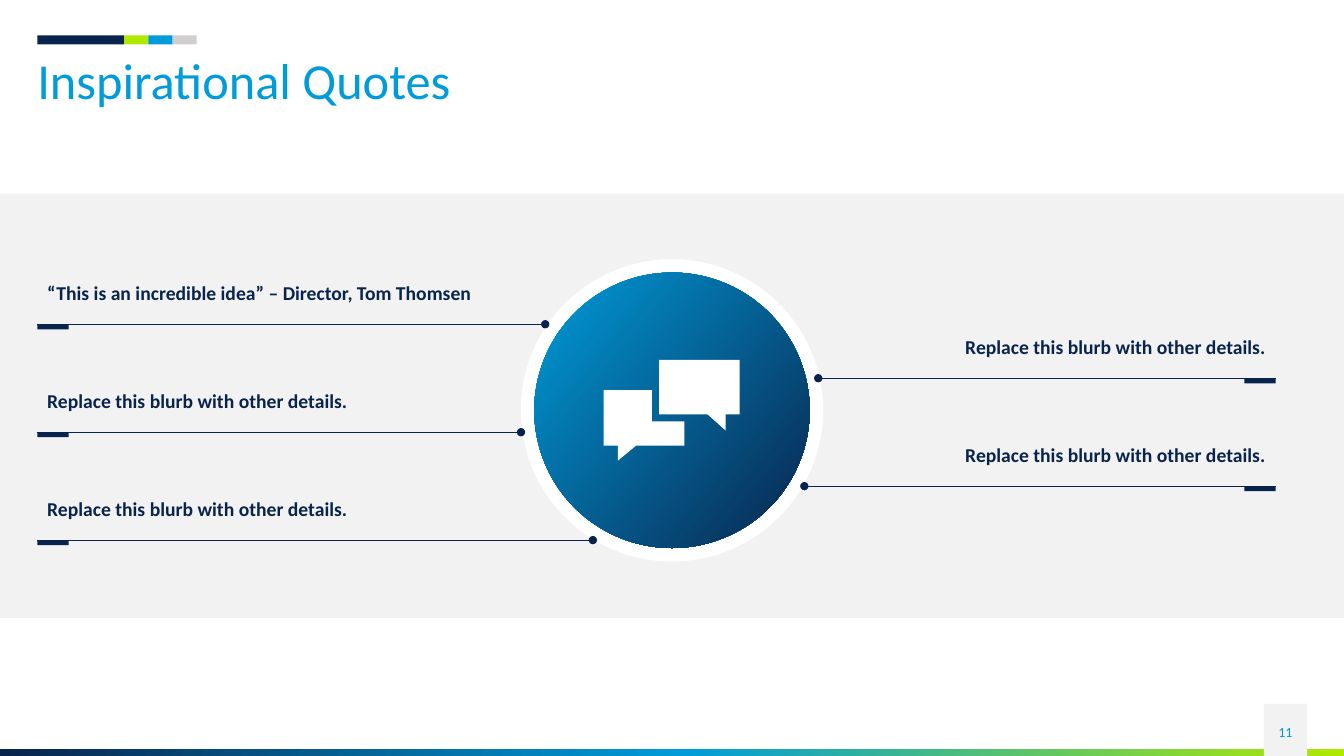
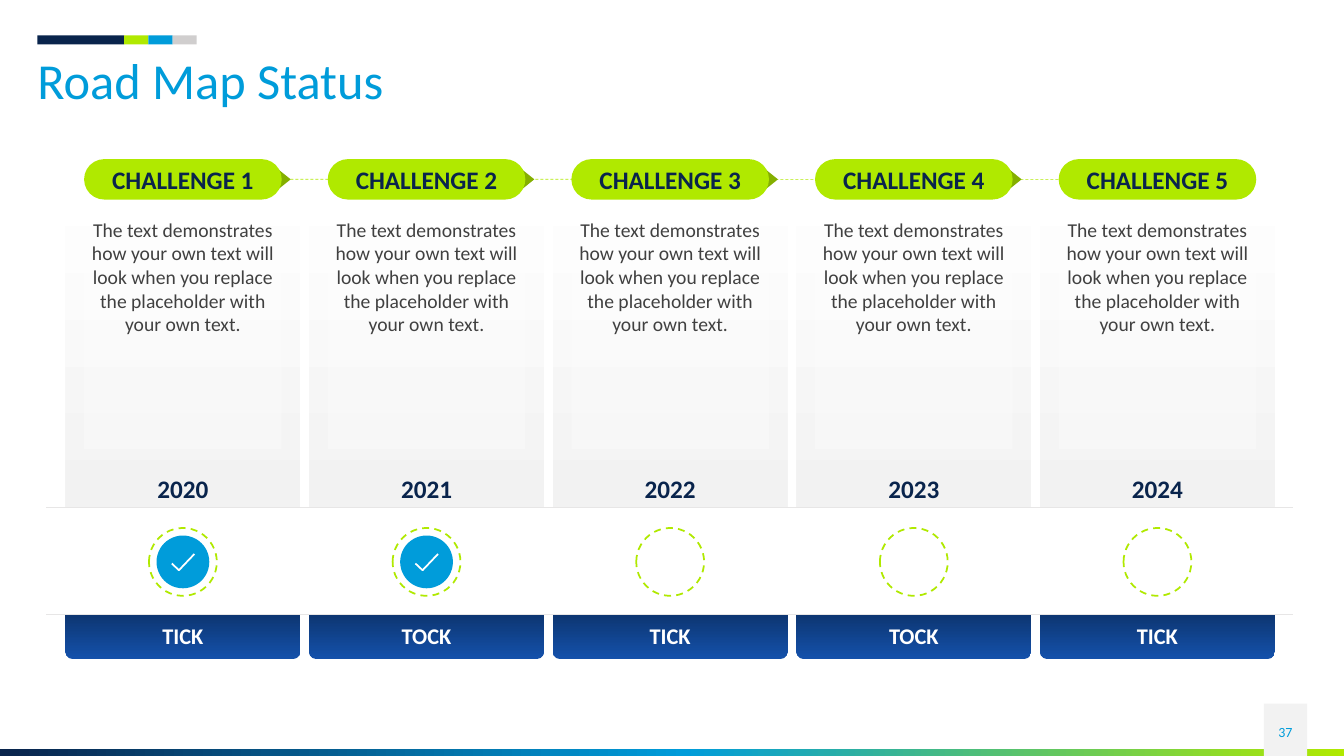
from lxml.etree import SubElement
from pptx import Presentation
from pptx.dml.color import RGBColor
from pptx.enum.dml import MSO_LINE
from pptx.enum.shapes import MSO_CONNECTOR, MSO_SHAPE
from pptx.enum.text import MSO_ANCHOR, PP_ALIGN
from pptx.oxml.ns import qn
from pptx.util import Cm, Pt

COLORS = {
    "navy": "09244C", "blue": "009CDA", "lime": "B0E900", "olive": "84AF00",
    "silver": "D0CECE", "pale": "F2F2F2", "rule": "E7E6E6", "white": "FFFFFF",
    "text": "404040", "royal": "1451AB", "deep": "0D3672",
}
PAGE_WIDTH, PAGE_HEIGHT = 33.87, 19.05
MARGIN = 0.94


def rgb(name):
    return RGBColor.from_string(COLORS[name])


def write_text(shape, text, size=14, color="navy", bold=False, align=PP_ALIGN.LEFT,
               anchor=MSO_ANCHOR.TOP, inset=None, wrap=True, spacing=None):
    """Put one formatted paragraph into a shape."""
    frame = shape.text_frame
    frame.word_wrap = wrap
    frame.vertical_anchor = anchor
    if inset is not None:
        frame.margin_left = frame.margin_right = Cm(inset)
        frame.margin_top = frame.margin_bottom = Cm(inset)
    para = frame.paragraphs[0]
    para.alignment = align
    if spacing:
        para.line_spacing = spacing
    span = para.add_run()
    span.text = text
    span.font.name = "Calibri"
    span.font.size = Pt(size)
    span.font.bold = bold
    span.font.color.rgb = rgb(color)


class Painter:
    """Holds the deck's style and the page being drawn; lengths are in cm."""

    def __init__(self, deck):
        self.deck = deck
        self.page = None

    def new_page(self, title, number):
        self.page = self.deck.slides.add_slide(self.deck.slide_layouts[6])
        # Footer band and page number
        self.gradient(self.shape(0, 18.87, PAGE_WIDTH, 0.18),
                      [(0, "navy"), (51, "blue"), (100, "lime")], 0)
        self.shape(31.85, 17.73, 1.09, 1.32, "pale")
        self.text(31.85, 17.93, 1.09, 1.02, number, size=10, color="blue",
                  align=PP_ALIGN.CENTER, anchor=MSO_ANCHOR.MIDDLE)
        # Colour stripes above the title
        left = MARGIN
        for width, color in ((2.19, "navy"), (0.61, "lime"), (0.61, "blue"), (0.61, "silver")):
            self.shape(left, 0.89, width, 0.23, color)
            left += width
        self.text(MARGIN, 1.42, 32, 1.4, title, size=36, color="blue",
                  inset=0, spacing=0.9)

    def shape(self, left, top, width, height, fill=None, kind=MSO_SHAPE.RECTANGLE,
              adjust=(), alpha=None):
        shape = self.page.shapes.add_shape(kind, Cm(left), Cm(top), Cm(width), Cm(height))
        for index, value in enumerate(adjust):
            shape.adjustments[index] = value
        self.paint(shape, fill)
        if alpha is not None:
            color = shape.fill._xPr.find(qn("a:solidFill"))[0]
            SubElement(color, qn("a:alpha")).set("val", str(alpha * 1000))
        return shape

    def disc(self, center_x, center_y, diameter, fill=None):
        return self.shape(center_x - diameter / 2, center_y - diameter / 2,
                          diameter, diameter, fill, MSO_SHAPE.OVAL)

    def paint(self, shape, fill):
        shape.shadow.inherit = False
        shape.line.fill.background()
        if fill:
            shape.fill.solid()
            shape.fill.fore_color.rgb = rgb(fill)
        else:
            shape.fill.background()

    def gradient(self, shape, stops, angle):
        shape.fill.gradient()
        shape.fill.gradient_angle = -angle % 360
        stop_list = shape._element.spPr.find(qn("a:gradFill")).find(qn("a:gsLst"))
        for stop in list(stop_list):
            stop_list.remove(stop)
        for position, color in stops:
            stop = SubElement(stop_list, qn("a:gs"))
            stop.set("pos", str(position * 1000))
            SubElement(stop, qn("a:srgbClr")).set("val", COLORS[color])
        return shape

    def text(self, left, top, width, height, text, **style):
        box = self.page.shapes.add_textbox(Cm(left), Cm(top), Cm(width), Cm(height))
        write_text(box, text, **style)

    def outline(self, shape, color, weight, dashed=False):
        shape.line.color.rgb = rgb(color)
        shape.line.width = Pt(weight)
        if dashed:
            shape.line.dash_style = MSO_LINE.DASH

    def line(self, start_x, end_x, y, color, dashed=False, dot=False):
        line = self.page.shapes.add_connector(
            MSO_CONNECTOR.STRAIGHT, Cm(start_x), Cm(y), Cm(end_x), Cm(y))
        self.outline(line, color, 0.5, dashed)
        if dot:
            SubElement(line.line._get_or_add_ln(), qn("a:tailEnd")).set("type", "oval")
        SubElement(line._element.spPr, qn("a:effectLst"))
        return line

    def freeform(self, points, fill=None, close=True):
        points = [(Cm(x), Cm(y)) for x, y in points]
        builder = self.page.shapes.build_freeform(*points[0], scale=1.0)
        builder.add_line_segments(points[1:], close=close)
        shape = builder.convert_to_shape()
        self.paint(shape, fill)
        return shape

    def quote(self, text, y, dot_x, on_right=False):
        """A blurb over a rule that runs from the margin to the circle."""
        width, right_edge, marker = 11.51, 32.15, 0.79
        edge = right_edge if on_right else MARGIN
        self.text(edge - width if on_right else edge, y - 1.21, width, 0.86, text,
                  bold=True, align=PP_ALIGN.RIGHT if on_right else PP_ALIGN.LEFT)
        self.line(edge, dot_x, y, "navy", dot=True)
        self.shape(edge - marker if on_right else edge, y, marker, 0.13, "navy")

    def tick(self, center_x, center_y):
        self.disc(center_x, center_y, 1.33, "blue")
        mark = self.freeform([(center_x - 0.28, center_y + 0.04),
                              (center_x - 0.1, center_y + 0.21),
                              (center_x + 0.29, center_y - 0.2)], close=False)
        self.outline(mark, "white", 1.25)


def draw_quotes(painter):
    painter.new_page("Inspirational Quotes", "11")
    painter.shape(0, 4.88, PAGE_WIDTH, 10.69, "pale")

    # Central circle with speech bubbles
    center_x, center_y = PAGE_WIDTH / 2, 10.34
    painter.disc(center_x, center_y, 7.62, "white")
    painter.gradient(painter.disc(center_x, center_y, 6.94),
                     [(0, "blue"), (100, "navy")], 40)
    painter.freeform([(15.21, 9.83), (16.43, 9.83), (16.43, 10.62), (17.25, 10.62),
                      (17.25, 11.23), (16.03, 11.23), (15.57, 11.61), (15.57, 11.23),
                      (15.21, 11.23)], "white")
    painter.freeform([(16.61, 9.07), (18.64, 9.07), (18.64, 10.44), (18.29, 10.44),
                      (18.29, 10.85), (17.83, 10.44), (16.61, 10.44)], "white")

    # Quotes alternate left and right down the page
    blurb = "Replace this blurb with other details."
    first = "“This is an incredible idea” – Director, Tom Thomsen"
    for index, dot_x in enumerate((13.74, 20.62, 13.13, 20.27, 14.94)):
        painter.quote(blurb if index else first, 8.17 + 1.36 * index, dot_x,
                      on_right=index % 2 == 1)


def draw_road_map(painter):
    painter.new_page("Road Map Status", "37")
    column_width, pitch, pill_width = 5.92, 6.14, 4.98
    pill_y, rule_y, tick_y, label_y = 4.52, 12.78, 14.16, 15.49
    lefts = [1.65 + pitch * index for index in range(5)]
    centers = [left + column_width / 2 for left in lefts]
    centered = {"align": PP_ALIGN.CENTER, "inset": 0}
    heading = dict(centered, bold=True, anchor=MSO_ANCHOR.MIDDLE)

    # Column panels
    for left in lefts:
        painter.gradient(painter.shape(left, pill_y, column_width, rule_y - pill_y),
                         [(0, "white"), (100, "pale")], 90)

    # Path behind the challenges, with a pointer after all but the last
    path_line = painter.line(7.32, centers[-1] - pill_width / 2, pill_y, "lime", dashed=True)
    for center in centers[:-1]:
        pointer = painter.shape(center + 2.22, pill_y - 0.19, 0.61, 0.38, "olive",
                                MSO_SHAPE.ISOSCELES_TRIANGLE)
        pointer.rotation = 90

    # Column contents
    for index, (left, center) in enumerate(zip(lefts, centers)):
        pill_left = center - pill_width / 2
        pill = painter.shape(pill_left, pill_y - 0.51, pill_width, 1.02, "lime",
                             MSO_SHAPE.ROUNDED_RECTANGLE, [0.5])
        write_text(pill, f"CHALLENGE {index + 1}", size=18, **heading)
        body = painter.shape(pill_left, 5.49, pill_width, 5.82, "white", alpha=28)
        write_text(body, "The text demonstrates how your own text will look when you "
                         "replace the placeholder with your own text.",
                   color="text", **centered)
        painter.text(center - 0.66, 11.96, 1.32, 0.76, str(2020 + index), size=18,
                     wrap=False, spacing=0.95, **heading)
        label = painter.shape(left, label_y, column_width, 1.12,
                              kind=MSO_SHAPE.ROUND_2_SAME_RECTANGLE, adjust=[0, 0.17])
        painter.gradient(label, [(0, "royal"), (100, "deep")], 270)
        write_text(label, ("TICK", "TOCK")[index % 2], size=16, color="white", **heading)
        painter.outline(painter.disc(center, tick_y, 1.71), "lime", 1.25, dashed=True)
        if index < 2:
            painter.tick(center, tick_y)
    path_line.end_connect(pill, 1)

    # Rules around the status row
    for y in (rule_y, label_y):
        painter.line(1.17, 32.59, y, "rule")


def main():
    deck = Presentation()
    deck.slide_width, deck.slide_height = Cm(PAGE_WIDTH), Cm(PAGE_HEIGHT)
    painter = Painter(deck)
    draw_quotes(painter)
    draw_road_map(painter)
    deck.save("out.pptx")


if __name__ == "__main__":
    main()
